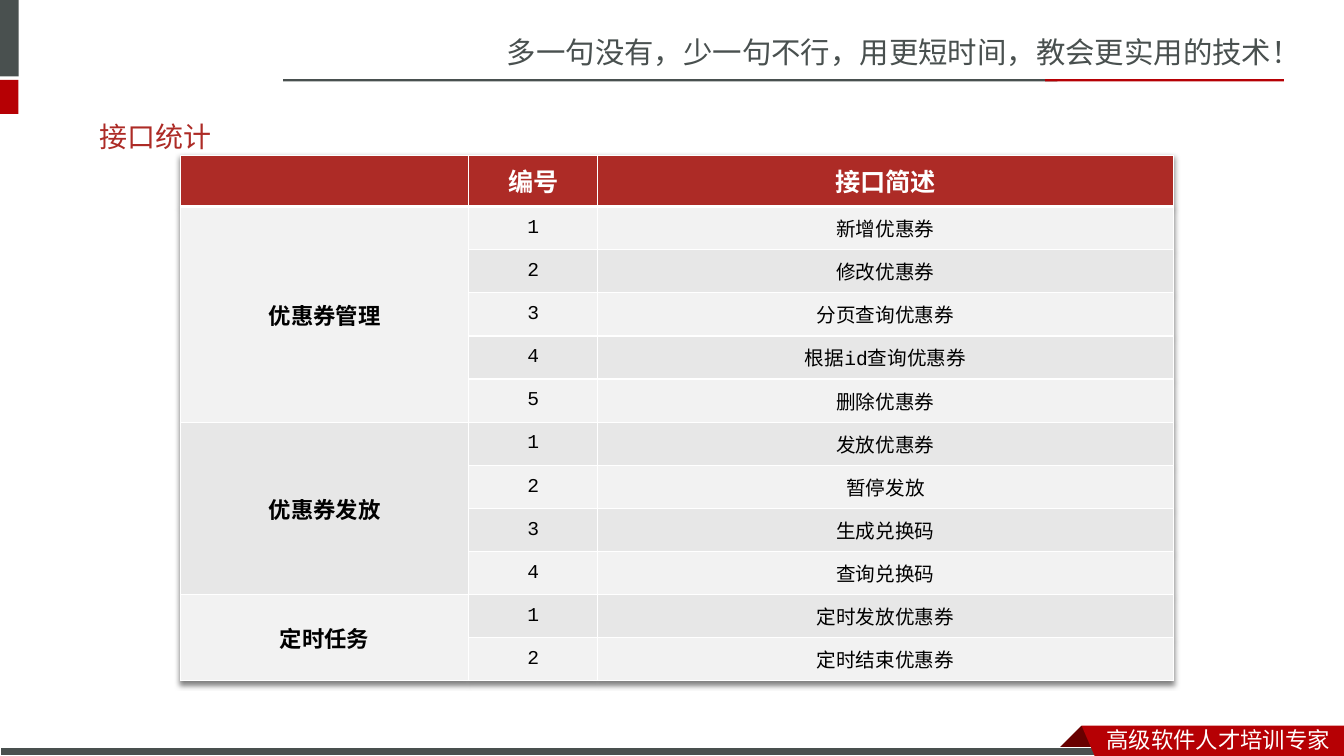
from lxml import etree
from pptx import Presentation
from pptx import util as u
from pptx.dml.color import RGBColor
from pptx.enum import shapes, text
from pptx.oxml import ns

WHITE = RGBColor(0xFF, 0xFF, 0xFF)
BLACK = RGBColor(0, 0, 0)
SLATE = RGBColor(0x49, 0x50, 0x4F)
RED = RGBColor(0xB6, 0x00, 0x04)
DARK_RED = RGBColor(0x68, 0x00, 0x00)
BRICK = RGBColor(0xAD, 0x2B, 0x26)
BANDS = (RGBColor(0xF2, 0xF2, 0xF2), RGBColor(0xE7, 0xE7, 0xE7))

SANS_SC = "Noto Sans CJK SC"
SANS_JP = "Noto Sans CJK JP"
MONO = "Courier New"

HEADINGS = ("", "编号", "接口简述")
GROUPS = (
    ("优惠券管理", ("新增优惠券", "修改优惠券", "分页查询优惠券", "根据id查询优惠券", "删除优惠券"), 0),
    ("优惠券发放", ("发放优惠券", "暂停发放", "生成兑换码", "查询兑换码"), 1),
    ("定时任务", ("定时发放优惠券", "定时结束优惠券"), 0),
)
COLUMN_WIDTHS = (205.92, 92.16, 411.12)
HEADER_HEIGHT = 36.72


def add_element(parent, tag, **attributes):
    return etree.SubElement(parent, ns.qn(tag), attributes)


def write(frame, content, size=14, color=BLACK, font=SANS_SC, asian=SANS_SC,
          bold=False, align=None, spacing=None, before=None):
    para = frame.paragraphs[0]
    para.alignment = align
    para.line_spacing = spacing
    para.space_before = before
    span = para.add_run()
    span.text = content
    span.font.size = u.Pt(size)
    span.font.bold = bold
    span.font.color.rgb = color
    span.font.name = font
    add_element(span.font._element, "a:ea", typeface=asian)


def add_label(page, box, content, **style):
    label = page.shapes.add_textbox(*map(u.Pt, box))
    label.text_frame.word_wrap = True
    label.text_frame.vertical_anchor = text.MSO_ANCHOR.MIDDLE
    write(label.text_frame, content, **style)


def paint(shape, color, outline=None):
    shape.shadow.inherit = False
    shape.fill.solid()
    shape.fill.fore_color.rgb = color
    if outline is None:
        shape.line.fill.background()
    else:
        shape.line.color.rgb = outline
        shape.line.width = u.Pt(0.75)


def add_bar(page, box, color, outline=None):
    bar = page.shapes.add_shape(shapes.MSO_SHAPE.RECTANGLE, *map(u.Pt, box))
    paint(bar, color, outline)


def add_polygon(page, left, top, points, color):
    corners = [(u.Pt(left + x), u.Pt(top + y)) for x, y in points]
    builder = page.shapes.build_freeform(*corners[0])
    builder.add_line_segments(corners[1:], close=True)
    paint(builder.convert_to_shape(), color)


def add_header(page, box):
    left, top, width, height = box
    add_label(page, (left + 355, top + 20, width - 355, 34),
              "多一句没有，少一句不行，用更短时间，教会更实用的技术！", size=21, color=SLATE)
    add_bar(page, (left, top, 13.4, 54.6), SLATE)
    add_bar(page, (left, top + 57, 13.2, 24.4), RED)
    rule_top = top + height - 1.6
    add_bar(page, (left + 202.3, rule_top, 553, 1.6), SLATE)
    add_bar(page, (left + 746.6, rule_top, 170.6, 1.6), RED)


def add_footer(page, box):
    left, top, width, height = box
    add_polygon(page, left + 756.7, top, ((15.8, 0), (31.7, 15.8), (31, 16.6), (0.7, 16.6), (0, 15.8)), DARK_RED)
    add_bar(page, (left, top + 15.4, 791, height - 15.4), SLATE, WHITE)
    ribbon = left + 772.6
    end = width - 772.6
    add_polygon(page, ribbon, top, ((0, 0), (end, 0), (end, height), (9.3, height)), RED)
    add_label(page, (ribbon + 10.8, top - 3.6, end - 10.8, 26.6),
              "高级软件人才培训专家", size=16, color=WHITE)


def style_cell(cell, color, top=1, bottom=1):
    cell.vertical_anchor = text.MSO_ANCHOR.MIDDLE
    cell.fill.solid()
    cell.fill.fore_color.rgb = color
    properties = cell._tc.get_or_add_tcPr()
    for index, (side, width) in enumerate((("L", 1), ("R", 1), ("T", top), ("B", bottom))):
        line = etree.Element(ns.qn(f"a:ln{side}"), w=str(u.Pt(width)))
        add_element(add_element(line, "a:solidFill"), "a:srgbClr", val=str(WHITE))
        properties.insert(index, line)


def add_table_shadow(table):
    effects = etree.Element(ns.qn("a:effectLst"))
    shadow = add_element(effects, "a:outerShdw", blurRad=str(u.Pt(4)), dist=str(u.Pt(2)),
                         dir="5400000", algn="t", rotWithShape="0")
    add_element(add_element(shadow, "a:srgbClr", val=str(BLACK)), "a:alpha", val="50000")
    table._tbl.tblPr.insert(0, effects)


def add_interface_table(page, box):
    count = sum(len(names) for _, names, _ in GROUPS)
    table = page.shapes.add_table(count + 1, len(HEADINGS), *map(u.Pt, box)).table
    table.first_row = table.horz_banding = False
    add_table_shadow(table)
    for column, width in zip(table.columns, COLUMN_WIDTHS):
        column.width = u.Pt(width)
    for index, row in enumerate(table.rows):
        row.height = u.Pt((box[3] - HEADER_HEIGHT) / count if index else HEADER_HEIGHT)

    def fill_cell(row, column, content, **style):
        write(table.cell(row, column).text_frame, content, font=MONO,
              align=text.PP_ALIGN.CENTER, **style)

    for column, heading in enumerate(HEADINGS):
        style_cell(table.cell(0, column), BRICK, bottom=3)
        if heading:
            fill_cell(0, column, heading, size=18, color=WHITE, bold=True)
    row = 1
    for group, names, band in GROUPS:
        first = row
        for number, name in enumerate(names, 1):
            edge = 3 if row == 1 else 1
            style_cell(table.cell(row, 0), BANDS[band], top=edge)
            for column, content in ((1, str(number)), (2, name)):
                style_cell(table.cell(row, column), BANDS[(row - 1) % 2], top=edge)
                fill_cell(row, column, content)
            row += 1
        table.cell(first, 0).merge(table.cell(row - 1, 0))
        fill_cell(first, 0, group, size=16, bold=True)


def main():
    deck = Presentation()
    deck.slide_width, deck.slide_height = u.Pt(960), u.Pt(540)
    page = deck.slides.add_slide(deck.slide_layouts[6])
    add_header(page, (0, 0, 960, 58.2))
    add_footer(page, (0, 518.4, 960, 21.6))
    add_label(page, (64, 60.5, 470, 50.4), "接口统计", size=20, color=BRICK,
              font=SANS_JP, asian=SANS_JP, spacing=2.0, before=u.Pt(4))
    add_interface_table(page, (128.9, 110.9, 709.2, 375.4))
    deck.save("out.pptx")


if __name__ == "__main__":
    main()
